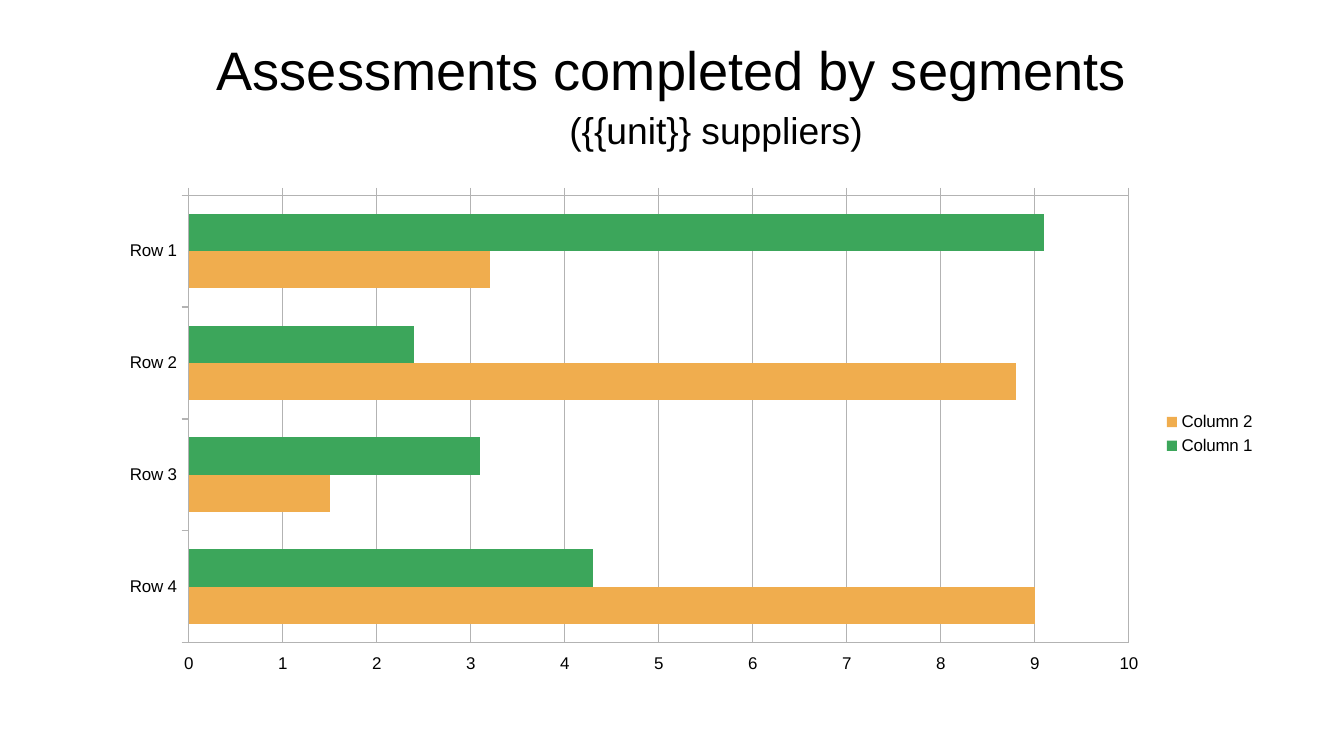
from lxml import etree
from pptx import Presentation
from pptx import util as u
from pptx.chart.data import CategoryChartData
from pptx.dml.color import RGBColor
from pptx.enum import chart as ch, text
from pptx.oxml import parse_xml
from pptx.oxml.ns import nsdecls, qn

COLORS = {"ink": "000000", "grid": "B3B3B3", "green": "3CA65B", "gold": "F0AD4E"}


def rgb(name):
    return RGBColor.from_string(COLORS[name])


class Board:
    face = "Arial"

    def __init__(self, slide):
        self.slide = slide

    def style(self, font, size):
        font.name, font.size = self.face, u.Pt(size)
        font.color.rgb = rgb("ink")

    def line(self, line):
        line.color.rgb = rgb("grid")
        line.width = u.Pt(0.75)

    def label(self, words, box, size, inset=(0, 0), anchor=text.MSO_ANCHOR.TOP):
        frame = self.slide.shapes.add_textbox(*map(u.Cm, box)).text_frame
        frame.word_wrap = True
        frame.vertical_anchor = anchor
        frame.margin_left = frame.margin_right = u.Cm(inset[0])
        frame.margin_top = frame.margin_bottom = u.Cm(inset[1])
        para = frame.paragraphs[0]
        para.text = words
        para.alignment = text.PP_ALIGN.CENTER
        self.style(para.font, size)

    def bars(self, rows, series, box, inner):
        data = CategoryChartData()
        data.categories = rows
        for name, _, values in series:
            data.add_series(name, values)
        chart = self.slide.shapes.add_chart(
            ch.XL_CHART_TYPE.BAR_CLUSTERED, *map(u.Cm, box), data).chart
        self.style(chart.font, 10)
        chart.has_title = False

        # Bars
        plot = chart.plots[0]
        plot.gap_width, plot.overlap = 100, 0
        plot.vary_by_categories = False
        for bar, (_, color, _) in zip(plot.series, series):
            bar.format.fill.solid()
            bar.format.fill.fore_color.rgb = rgb(color)

        # Axes: rows run downwards, numbers stay at the bottom
        cat, val = chart.category_axis, chart.value_axis
        for axis in (cat, val):
            axis.major_tick_mark = ch.XL_TICK_MARK.OUTSIDE
            axis.minor_tick_mark = ch.XL_TICK_MARK.NONE
            self.line(axis.format.line)
            self.style(axis.tick_labels.font, 10)
        cat.reverse_order = True
        cat.has_major_gridlines = False
        val.minimum_scale, val.maximum_scale, val.major_unit = 0, 10, 1
        val.tick_label_position = ch.XL_TICK_LABEL_POSITION.HIGH
        val.has_major_gridlines = True
        self.line(val.major_gridlines.format.line)

        # Legend
        chart.has_legend = True
        chart.legend.position = ch.XL_LEGEND_POSITION.RIGHT
        chart.legend.include_in_layout = False
        self.style(chart.legend.font, 10)
        self.area(plot, inner)

    def area(self, plot, inner):
        """Place the plot area and give it a thin border."""
        area = plot._element.getparent()
        for old in area.findall(qn("c:layout")):
            area.remove(old)
        layout = parse_xml(f"<c:layout {nsdecls('c')}><c:manualLayout/></c:layout>")
        parts = [("layoutTarget", "inner"), ("xMode", "edge"), ("yMode", "edge")]
        for tag, value in parts + list(zip("xywh", inner)):
            etree.SubElement(layout[0], qn(f"c:{tag}")).set("val", str(value))
        area.insert(0, layout)
        area.append(parse_xml(
            f"<c:spPr {nsdecls('c', 'a')}><a:noFill/><a:ln w='9525'><a:solidFill>"
            f"<a:srgbClr val='{COLORS['grid']}'/></a:solidFill></a:ln></c:spPr>"))


def main():
    deck = Presentation()
    deck.slide_width, deck.slide_height = u.Cm(28), u.Cm(15.75)
    board = Board(deck.slides.add_slide(deck.slide_layouts[6]))

    # Headings
    board.label("Assessments completed by segments", (1.4, 0.76, 25.2, 1.35), 32,
                anchor=text.MSO_ANCHOR.MIDDLE)
    board.label("({{unit}} suppliers)", (3.81, 2.11, 22.22, 1.19), 22, (0.25, 0.13))

    # Chart
    board.bars([f"Row {n}" for n in range(1, 5)],
               [("Column 1", "green", (9.1, 2.4, 3.1, 4.3)),
                ("Column 2", "gold", (3.2, 8.8, 1.5, 9))],
               (2.24, 3.86, 24.18, 10.36), (0.07, 0.02, 0.81, 0.9))
    deck.save("out.pptx")


if __name__ == "__main__":
    main()
